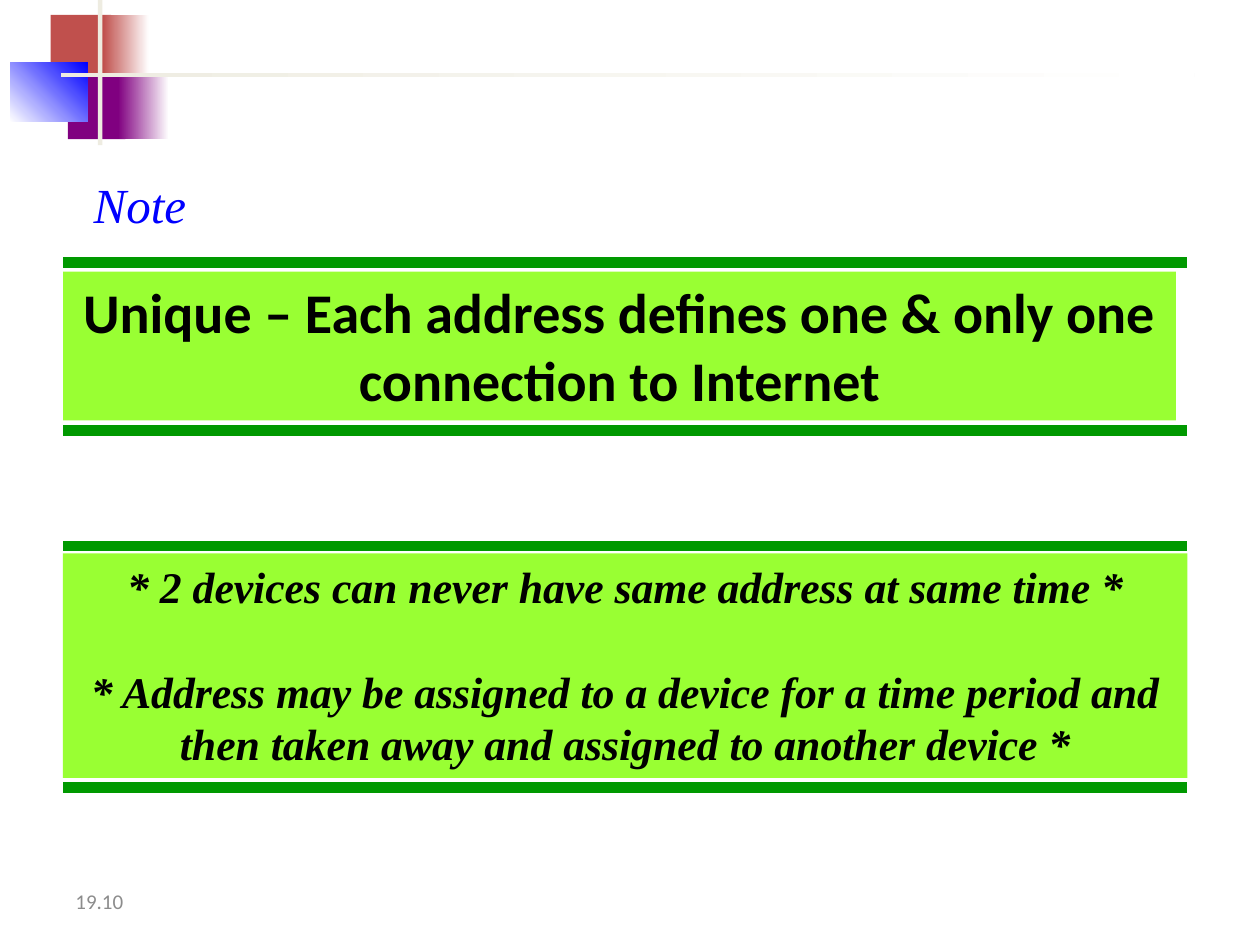
from dataclasses import dataclass
from pptx import Presentation
from pptx.dml.color import RGBColor
from pptx.enum.shapes import MSO_CONNECTOR, MSO_SHAPE
from pptx.enum.text import MSO_ANCHOR, MSO_AUTO_SIZE, PP_ALIGN
from pptx.oxml.ns import qn
from pptx.util import Pt
from lxml.etree import SubElement


@dataclass
class Bar:
    left: float
    top: float
    width: float
    height: float
    fill: str
    end: str = ""
    angle: float = 0


@dataclass
class Type:
    font: str
    size: float
    color: str
    bold: bool = False
    italic: bool = False


@dataclass
class Panel:
    top: float
    width: float
    height: float
    rules: tuple[float, float]
    lines: list[str]
    style: Type
    gap: float = 0


EDGE, SPAN = 36, 642.5
GREEN, LIME = "009900", "99FF33"
RED, PLUM, BLUE, SAND, WHITE = "C0504D", "800080", "0000FF", "EEECE1", "FFFFFF"

BARS = [
    Bar(29, 8.5, 34.5, 37.5, RED),
    Bar(59, 8.5, 26, 37.5, RED, WHITE),
    Bar(38.75, 42, 33, 37.5, PLUM),
    Bar(67.5, 42, 29, 37.5, PLUM, WHITE),
    Bar(5.75, 36, 44.25, 33.5, WHITE, BLUE, 45),
    Bar(56, 0, 2.5, 83, SAND),
    Bar(34.75, 41.75, 648, 2.5, SAND, WHITE),
]

PANELS = [
    Panel(155.25, 636, 85, (150, 246),
          ["Unique – Each address defines one & only one connection to Internet"],
          Type("Calibri", 32, "000000", bold=True)),
    Panel(316.25, SPAN, 128.25, (312, 450),
          ["* 2 devices can never have same address at same time *",
           "* Address may be assigned to a device for a time period and "
           "then taken away and assigned to another device *"],
          Type("Times New Roman", 25, "000000", bold=True, italic=True), 30),
]


def tint(code: str) -> RGBColor:
    return RGBColor.from_string(code)


def draw_bar(slide, bar: Bar):
    shape = slide.shapes.add_shape(
        MSO_SHAPE.RECTANGLE, Pt(bar.left), Pt(bar.top), Pt(bar.width), Pt(bar.height))
    shape.shadow.inherit = False
    shape.line.fill.background()
    if bar.end:
        shape.fill.gradient()
        shape.fill.gradient_angle = bar.angle
        for stop, code in zip(shape.fill.gradient_stops, (bar.fill, bar.end)):
            stop.color.rgb = tint(code)
    else:
        shape.fill.solid()
        shape.fill.fore_color.rgb = tint(bar.fill)
    return shape


def draw_rule(slide, top: float) -> None:
    rule = slide.shapes.add_connector(
        MSO_CONNECTOR.STRAIGHT, Pt(EDGE), Pt(top), Pt(EDGE + SPAN), Pt(top))
    rule.line.color.rgb = tint(GREEN)
    rule.line.width = Pt(6)
    SubElement(rule.element.spPr, qn("a:effectLst"))


def write(frame, lines: list[str], style: Type, align=PP_ALIGN.LEFT, gap: float = 0) -> None:
    for rank, line in enumerate(lines):
        para = frame.add_paragraph() if rank else frame.paragraphs[0]
        para.text = line
        para.alignment = align
        if rank:
            para.space_before = Pt(gap)
        font = para.font
        font.name, font.size = style.font, Pt(style.size)
        font.bold, font.italic = style.bold, style.italic
        font.color.rgb = tint(style.color)


def draw_panel(slide, panel: Panel) -> None:
    for top in panel.rules:
        draw_rule(slide, top)
    shape = draw_bar(slide, Bar(EDGE, panel.top, panel.width, panel.height, LIME))
    frame = shape.text_frame
    frame.word_wrap = True
    frame.vertical_anchor = MSO_ANCHOR.TOP
    frame.auto_size = MSO_AUTO_SIZE.SHAPE_TO_FIT_TEXT
    write(frame, panel.lines, panel.style, PP_ALIGN.CENTER, panel.gap)


def draw_label(slide, left: float, top: float, width: float, height: float,
               text: str, style: Type):
    frame = slide.shapes.add_textbox(Pt(left), Pt(top), Pt(width), Pt(height)).text_frame
    write(frame, [text], style)
    return frame


def main() -> None:
    deck = Presentation()
    deck.slide_width, deck.slide_height = Pt(720), Pt(540)
    slide = deck.slides.add_slide(deck.slide_layouts[6])
    page = draw_label(slide, EDGE, 500.5, 168, 28.75, "19.10", Type("Calibri", 12, "8C8C8C"))
    page.word_wrap = True
    page.vertical_anchor = MSO_ANCHOR.MIDDLE
    for bar in BARS:
        draw_bar(slide, bar)
    note = draw_label(slide, 46.5, 96, 69, 41, "Note",
                      Type("Times New Roman", 28, BLUE, italic=True))
    note.word_wrap = False
    note.auto_size = MSO_AUTO_SIZE.SHAPE_TO_FIT_TEXT
    for panel in PANELS:
        draw_panel(slide, panel)
    deck.save("out.pptx")


if __name__ == "__main__":
    main()
